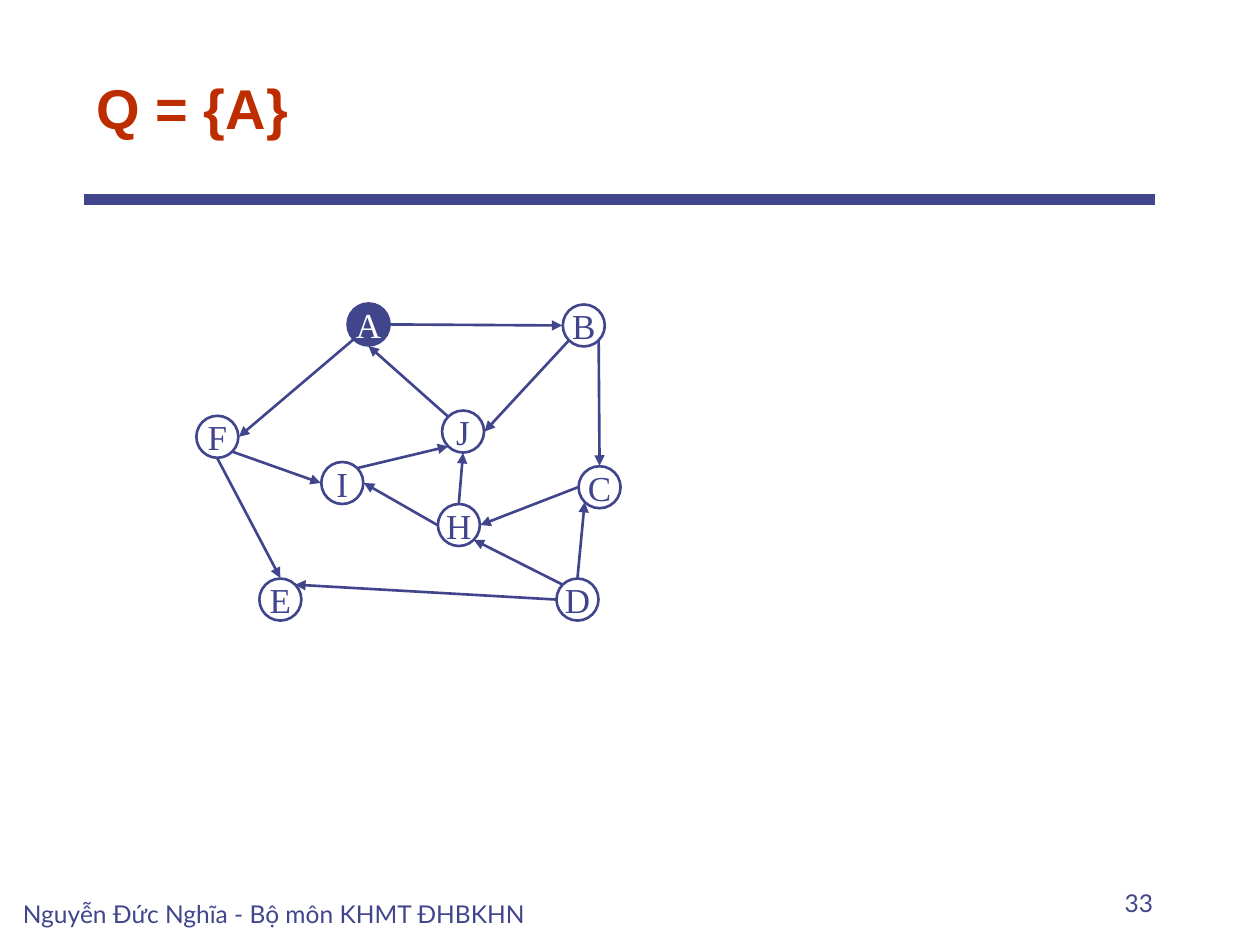
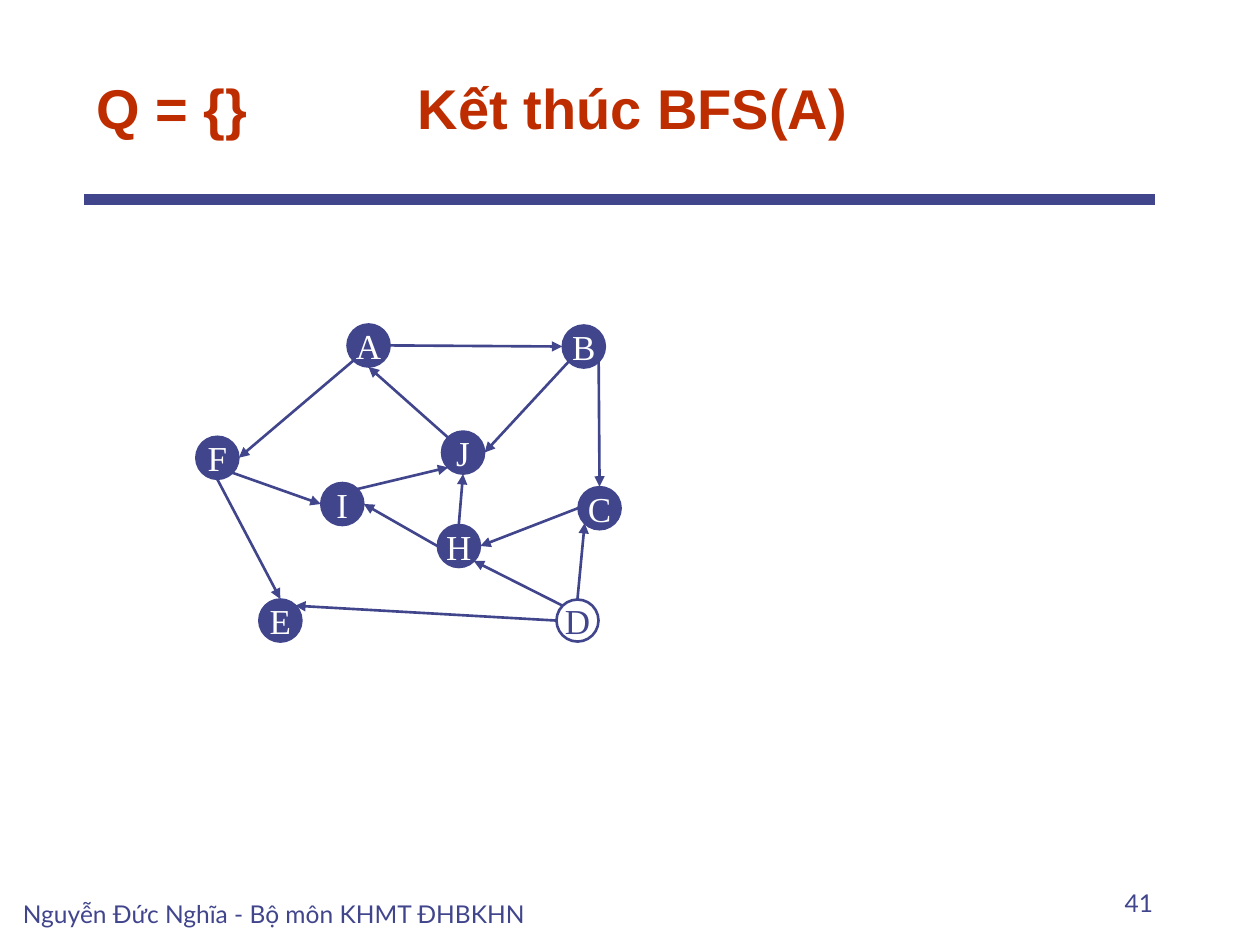
from pptx import Presentation
from pptx.dml.color import RGBColor
from pptx.enum.shapes import MSO_CONNECTOR, MSO_SHAPE
from pptx.enum.text import MSO_ANCHOR, PP_ALIGN
from pptx.oxml.ns import qn
from pptx.util import Inches, Pt
from lxml.etree import SubElement

COLORS = {"ink": "40458C", "title": "BE2D00", "white": "FFFFFF"}
CELL = Inches(10) / 120  # the slide is a grid of 120 columns and 90 rows
RADIUS = 2
REACH = 2.05  # arrows stop just outside the circle
DIAGONAL = 0.69

FOOTER = "Nguyễn Đức Nghĩa - Bộ môn KHMT ĐHBKHN"
TITLE_FONT = {"name": "Arial", "size": Pt(32), "bold": True}
FOOTER_FONT = {"name": "Lato", "size": Pt(14), "bold": False}
NODE_FONT = {"name": "Times New Roman", "size": Pt(20), "bold": False}

# Node centres in columns and rows
NODES = {
    "A": (35.1, 30.9), "B": (55.6, 31), "C": (57.1, 46.4),
    "D": (55, 57.1), "E": (26.7, 57.1), "F": (20.7, 41.6),
    "H": (43.7, 50), "I": (32.6, 46), "J": (44.1, 41.1),
}
SIDES = {
    "n": (0, -1), "s": (0, 1), "w": (-1, 0), "e": (1, 0),
    "nw": (-DIAGONAL, -DIAGONAL), "ne": (DIAGONAL, -DIAGONAL),
    "sw": (-DIAGONAL, DIAGONAL), "se": (DIAGONAL, DIAGONAL),
}
# Source node, side it leaves from, target node, side it arrives at
EDGES = [
    ("A", "sw", "F", "e"), ("A", "e", "B", "w"), ("B", "sw", "J", "e"),
    ("B", "se", "C", "n"), ("F", "s", "E", "n"), ("F", "se", "I", "w"),
    ("I", "ne", "J", "sw"), ("H", "w", "I", "e"), ("H", "n", "J", "s"),
    ("C", "w", "H", "e"), ("D", "n", "C", "sw"), ("D", "nw", "H", "se"),
    ("D", "w", "E", "ne"), ("J", "nw", "A", "s"),
]
# Title, page number, visited nodes, rows the graph is moved down
STEPS = [
    ("Q = {A}", "33", "A", 0),
    ("Q = {}\tKết thúc BFS(A)", "41", "ABCEFHIJ", 2),
]


def write(s, text, font, color, align, anchor, wrap=True):
    tf = s.text_frame
    tf.word_wrap = wrap
    tf.vertical_anchor = anchor
    p = tf.paragraphs[0]
    p.alignment = align
    if "\t" in text:
        tabs = SubElement(p._p.get_or_add_pPr(), qn("a:tabLst"))
        SubElement(tabs, qn("a:tab"), pos=str(Inches(2.55)), algn="l")
    r = p.add_run()
    r.text = text
    for name, value in font.items():
        setattr(r.font, name, value)
    r.font.color.rgb = RGBColor.from_string(COLORS[color])


def add_line(slide, start, end, width, arrow=False):
    points = [round(v * CELL) for v in (*start, *end)]
    s = slide.shapes.add_connector(MSO_CONNECTOR.STRAIGHT, *points)
    s.line.color.rgb = RGBColor.from_string(COLORS["ink"])
    s.line.width = Pt(width)
    if arrow:
        SubElement(s.line._get_or_add_ln(), qn("a:tailEnd"), type="triangle")
    SubElement(s._element.spPr, qn("a:effectLst"))


prs = Presentation()
prs.slide_width, prs.slide_height = Inches(10), Inches(7.5)

for title, page, visited, drop in STEPS:
    slide = prs.slides.add_slide(prs.slide_layouts[5])
    add_line(slide, (8, 19), (110, 19), 6)

    s = slide.shapes.title
    s.left, s.top, s.width, s.height = [round(v * CELL) for v in (8, 4, 102, 10)]
    write(s, title, TITLE_FONT, "title", PP_ALIGN.LEFT, MSO_ANCHOR.BOTTOM)

    for source, leave, target, arrive in EDGES:
        ends = []
        for node, side in ((source, leave), (target, arrive)):
            (x, y), (dx, dy) = NODES[node], SIDES[side]
            ends.append((x + dx * REACH, y + dy * REACH + drop))
        add_line(slide, *ends, 1.5, arrow=True)

    for node, (x, y) in NODES.items():
        box = (x - RADIUS, y - RADIUS + drop, 2 * RADIUS, 2 * RADIUS)
        s = slide.shapes.add_shape(MSO_SHAPE.OVAL, *[round(v * CELL) for v in box])
        s.shadow.inherit = False
        s.line.color.rgb = RGBColor.from_string(COLORS["ink"])
        s.line.width = Pt(1.5)
        if node in visited:
            s.fill.solid()
            s.fill.fore_color.rgb = RGBColor.from_string(COLORS["ink"])
        else:
            s.fill.background()
        write(s, node, NODE_FONT, "white" if node in visited else "ink",
              PP_ALIGN.CENTER, MSO_ANCHOR.MIDDLE, wrap=False)

    for text, box, align in ((page, (86, 82, 25, 6), PP_ALIGN.RIGHT),
                             (FOOTER, (1, 83, 56, 6), PP_ALIGN.LEFT)):
        s = slide.shapes.add_textbox(*[round(v * CELL) for v in box])
        write(s, text, FOOTER_FONT, "ink", align, MSO_ANCHOR.BOTTOM)

prs.save("out.pptx")
